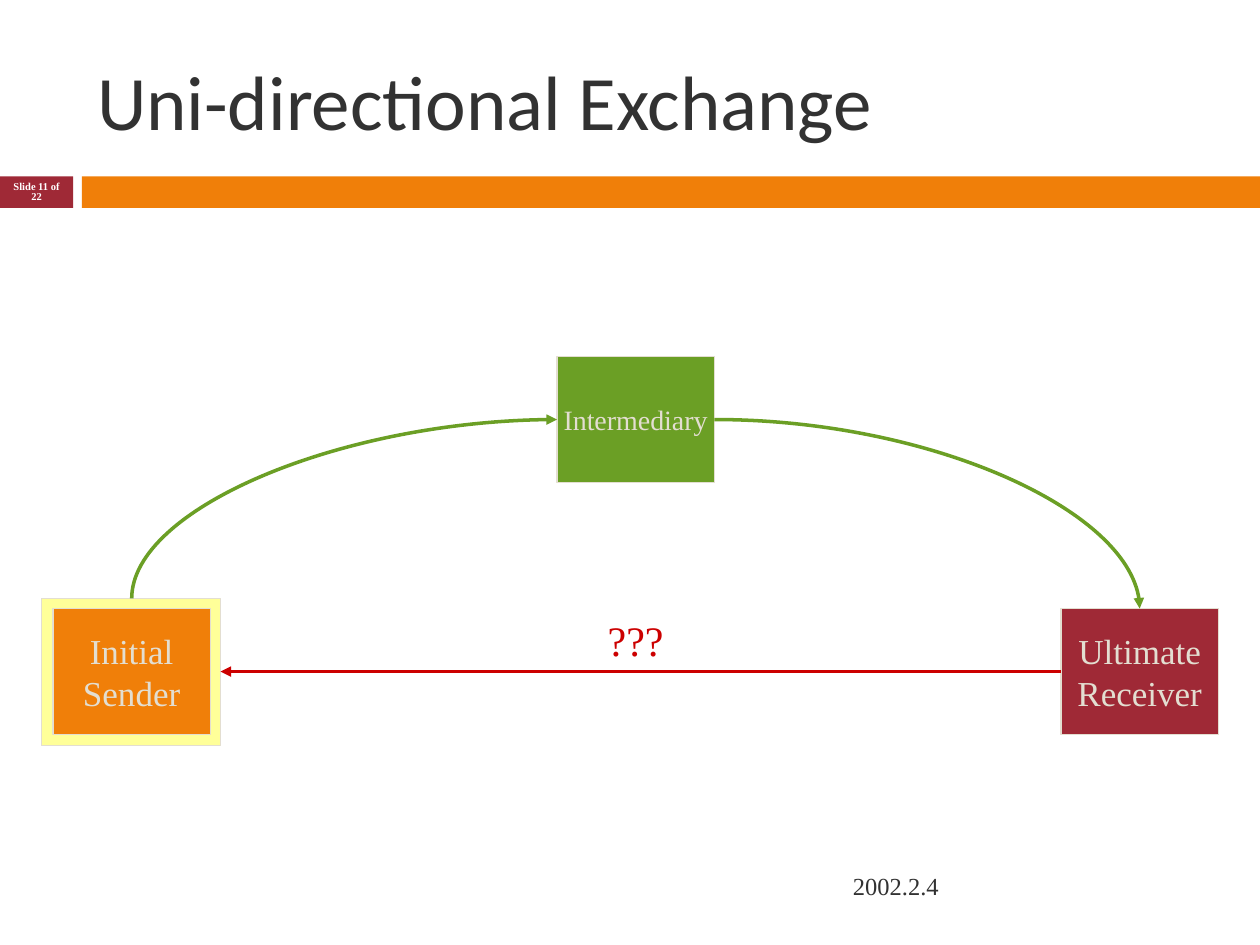
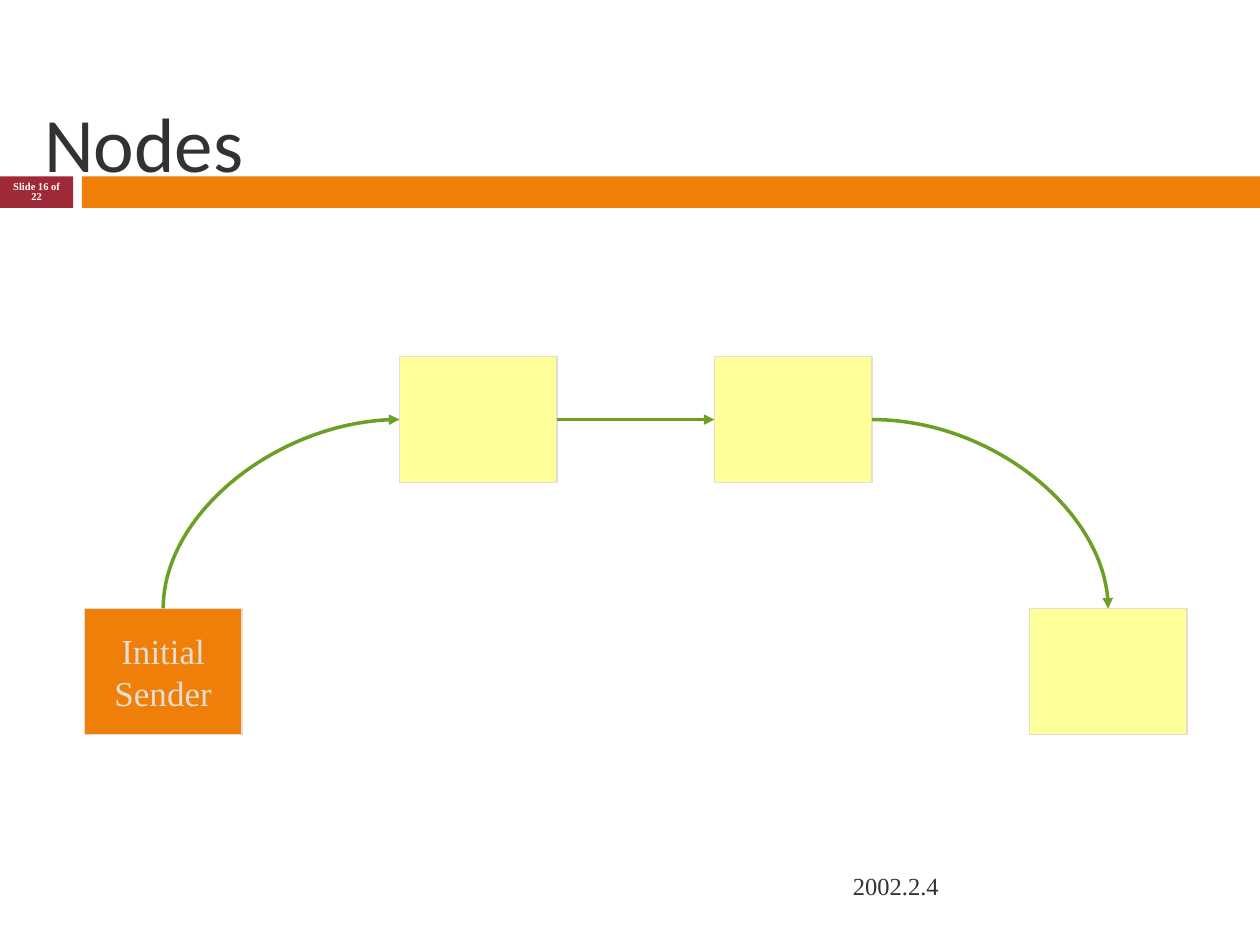
from lxml import etree
from pptx import Presentation
from pptx.dml.color import RGBColor
from pptx.enum.shapes import MSO_CONNECTOR, MSO_SHAPE
from pptx.enum.text import MSO_ANCHOR, MSO_AUTO_SIZE, PP_ALIGN
from pptx.oxml.ns import qn
from pptx.util import Inches, Pt

RECT = MSO_SHAPE.RECTANGLE
LINE, CURVE = MSO_CONNECTOR.STRAIGHT, MSO_CONNECTOR.CURVE
LEFT, CENTER = PP_ALIGN.LEFT, PP_ALIGN.CENTER
MIDDLE = MSO_ANCHOR.MIDDLE
NO_FIT = MSO_AUTO_SIZE.NONE

# Shared colours and fonts
ORANGE = RGBColor(0xF0, 0x7F, 0x09)
WINE = RGBColor(0x9F, 0x29, 0x36)
GREEN = RGBColor(0x6B, 0x9F, 0x25)
YELLOW = RGBColor(0xFF, 0xFF, 0x99)
RED = RGBColor(0xCC, 0x00, 0x00)
SAND = RGBColor(0xE3, 0xDE, 0xD1)
DARK = RGBColor(0x32, 0x32, 0x32)
WHITE = RGBColor(0xFF, 0xFF, 0xFF)
SANS, SERIF = "Calibri", "Times New Roman"

# Node grid
NODE_W, NODE_H = 1.25, 1
TOP_Y, LOW_Y = 2.83, 4.83
TOP_MID, LOW_MID = TOP_Y + NODE_H / 2, LOW_Y + NODE_H / 2


def put_text(shape, text, size, color, font=SERIF, bold=False, align=LEFT,
             wrap=True, before=None, spacing=None):
    frame = shape.text_frame
    frame.auto_size = NO_FIT
    frame.word_wrap = wrap
    frame.vertical_anchor = MIDDLE
    para = frame.paragraphs[0]
    para.text = text
    para.alignment = align
    para.line_spacing = spacing
    if before is not None:
        para.space_before = Pt(before)
    for run in para.runs:
        run.font.name = font
        run.font.size = Pt(size)
        run.font.bold = bold
        run.font.color.rgb = color


def add_label(slide, text, box, **style):
    label = slide.shapes.add_textbox(*map(Inches, box))
    put_text(label, text, **style)


def add_box(slide, box, fill, edge=None):
    shape = slide.shapes.add_shape(RECT, *map(Inches, box))
    shape.shadow.inherit = False
    shape.fill.solid()
    shape.fill.fore_color.rgb = fill
    if edge is None:
        shape.line.fill.background()
    else:
        shape.line.color.rgb = edge
        shape.line.width = Pt(0.75)
    return shape


def add_node(slide, left, top, fill, text=None, size=20):
    node = add_box(slide, (left, top, NODE_W, NODE_H), fill, SAND)
    if text:
        put_text(node, text, size, SAND, align=CENTER, wrap=False)


def add_arrow(slide, start, end, color=GREEN, kind=LINE):
    arrow = slide.shapes.add_connector(kind, *map(Inches, start + end))
    arrow.line.color.rgb = color
    arrow.line.width = Pt(2)
    props = arrow._element.spPr
    etree.SubElement(props.find(qn("a:ln")), qn("a:tailEnd"), type="triangle")
    etree.SubElement(props, qn("a:effectLst"))
    if kind == CURVE:
        props.find(qn("a:prstGeom")).set("prst", "curvedConnector2")
    return arrow


def add_rise(slide, start, end):
    """Curve that leaves upward and arrives from the left."""
    mid_x, mid_y = (start[0] + end[0]) / 2, (start[1] + end[1]) / 2
    # The quarter turn swaps the width and height about the centre
    half_w, half_h = (start[1] - end[1]) / 2, (end[0] - start[0]) / 2
    arrow = add_arrow(slide, (mid_x + half_w, mid_y + half_h),
                      (mid_x - half_w, mid_y - half_h), kind=CURVE)
    arrow._element.spPr.find(qn("a:xfrm")).set("rot", str(90 * 60000))


def add_page(deck, title, box, number):
    slide = deck.slides.add_slide(deck.slide_layouts[5])
    # Bands
    add_box(slide, (0, 1.4, 0.58, 0.25), WINE)
    add_box(slide, (0.65, 1.4, 9.35, 0.25), ORANGE)
    # Title
    head = slide.shapes.title
    head.left, head.top, head.width, head.height = map(Inches, box)
    put_text(head, title, 44, DARK, font=SANS)
    # Date and slide number
    add_label(slide, "2002.2.4", (6.67, 6.83, 2.92, 0.4), size=14, color=DARK)
    add_label(slide, f"Slide {number} of 22", (0, 1.39, 0.58, 0.27), size=6,
              color=WHITE, bold=True, align=CENTER, spacing=0.8)
    return slide


def add_exchange(deck):
    slide = add_page(deck, "Uni-directional Exchange",
                     (0.67, 0.25, 8.92, 1.08), 11)
    send, mid, end = 0.42, 4.42, 8.42
    # Nodes, with a frame around the sender
    add_box(slide, (0.33, 4.75, 1.42, 1.17), YELLOW, SAND)
    add_node(slide, send, LOW_Y, ORANGE, "Initial\nSender")
    add_node(slide, end, LOW_Y, WINE, "Ultimate\nReceiver")
    add_node(slide, mid, TOP_Y, GREEN, "Intermediary", size=16)
    # Message path
    add_rise(slide, (send + NODE_W / 2, 4.75), (mid, TOP_MID))
    add_arrow(slide, (mid + NODE_W, TOP_MID), (end + NODE_W / 2, LOW_Y),
              kind=CURVE)
    # Open question of the way back
    add_label(slide, "???", (mid, LOW_Y, NODE_W, 0.5), size=24, color=RED,
              align=CENTER, wrap=False, before=15)
    add_arrow(slide, (end, LOW_MID), (1.75, LOW_MID), RED)


def add_nodes(deck):
    slide = add_page(deck, "Nodes", (0.25, 0.5, 8.67, 1.25), 16)
    send, first, next_x, end = 0.67, 3.17, 5.67, 8.17
    # Nodes
    add_node(slide, send, LOW_Y, ORANGE, "Initial\nSender")
    for left, top in ((end, LOW_Y), (first, TOP_Y), (next_x, TOP_Y)):
        add_node(slide, left, top, YELLOW)
    # Message path
    add_rise(slide, (send + NODE_W / 2, LOW_Y), (first, TOP_MID))
    add_arrow(slide, (first + NODE_W, TOP_MID), (next_x, TOP_MID))
    add_arrow(slide, (next_x + NODE_W, TOP_MID), (end + NODE_W / 2, LOW_Y),
              kind=CURVE)


def main():
    deck = Presentation()
    deck.slide_width, deck.slide_height = Inches(10), Inches(7.5)
    add_exchange(deck)
    add_nodes(deck)
    deck.save("out.pptx")


if __name__ == "__main__":
    main()
